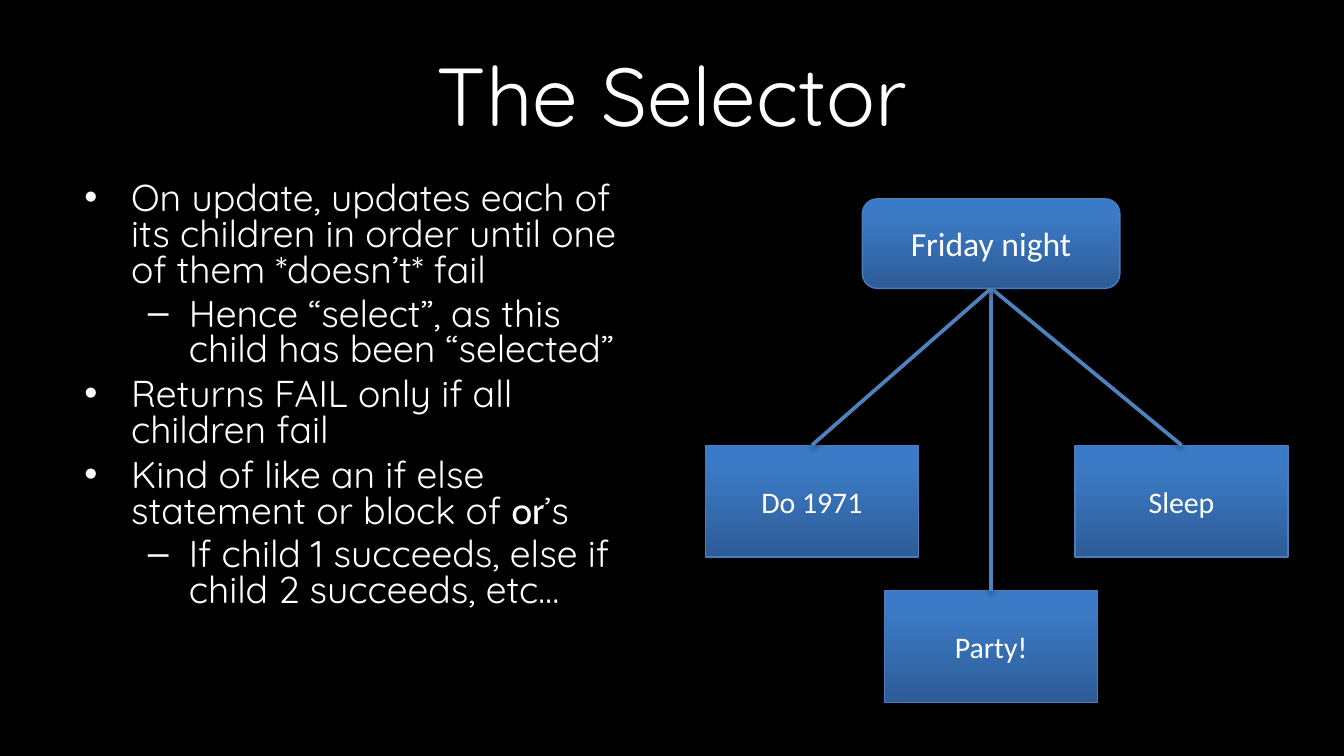
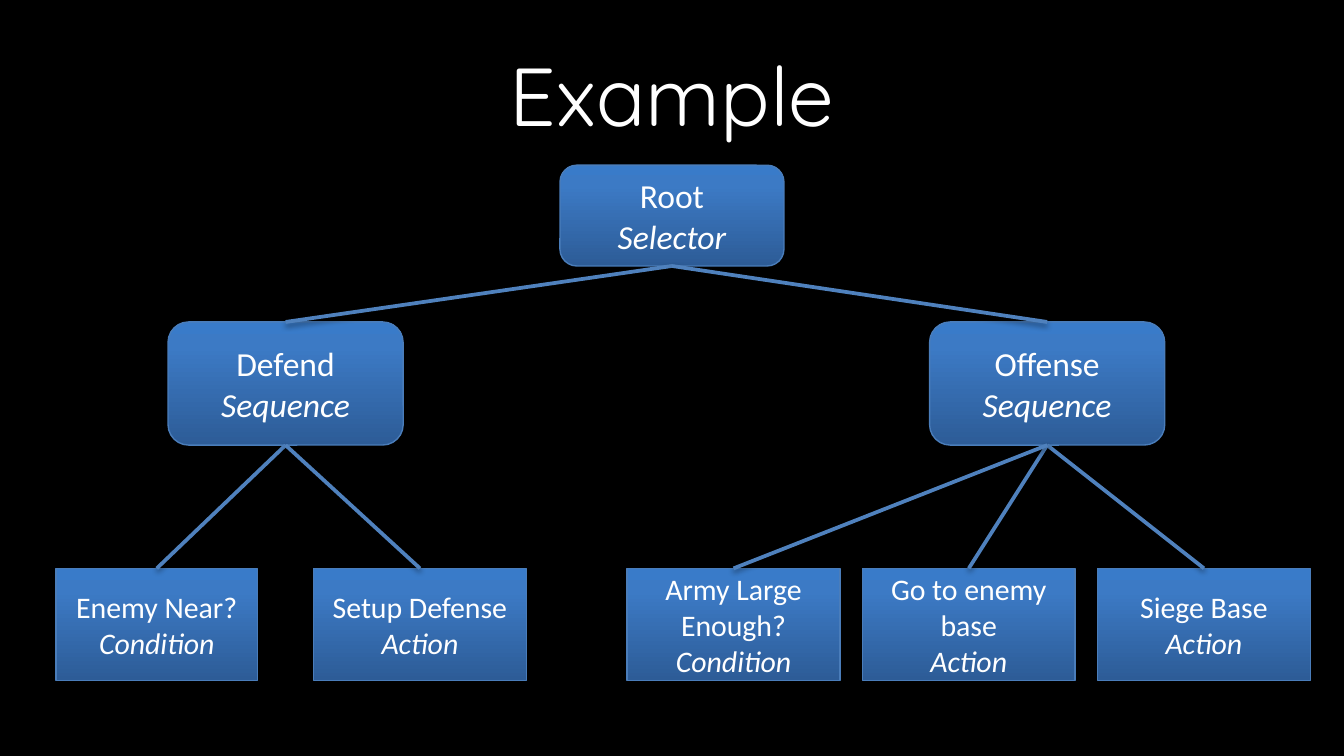
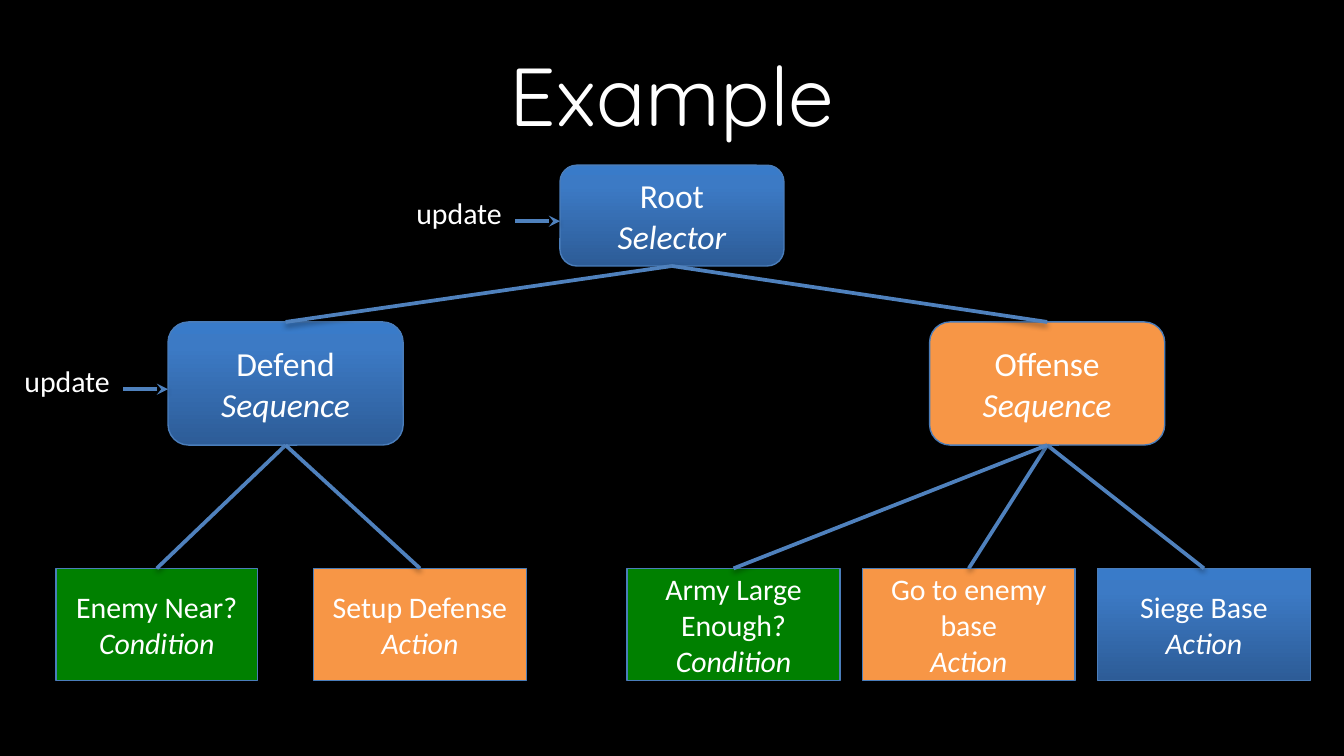
import lxml.etree
import pptx
import pptx.dml.color
import pptx.enum.shapes
import pptx.enum.text
import pptx.oxml.ns
import pptx.util

Pt = pptx.util.Pt
qn = pptx.oxml.ns.qn
SHAPE = pptx.enum.shapes.MSO_SHAPE
ALIGN = pptx.enum.text.PP_ALIGN
MIDDLE = pptx.enum.text.MSO_ANCHOR.MIDDLE

COLORS = {
    "background": "000000",
    "text": "FFFFFF",
    "outline": "4A7DBA",
    "link": "4F81BD",
    "succeeded": "008000",
    "running": "F79646",
    "shadow": "000000",
}
NODE_GRADIENT = [(0, "2D5C97"), (80, "3C7AC5"), (100, "397BC9")]
HEADING_FONT, NODE_FONT, EMPHASIS_FONT = "Quicksand", "Calibri", "Cabin"

# Per outline level: bullet, left margin, indent, space before
BULLET_LEVELS = [("•", 27, -25, 4.8), ("–", 58, -22, 4.1)]

SELECTOR_POINTS = [
    (0, [("On update, updates each of its children in order until one of them "
          "*doesn’t* fail", HEADING_FONT)]),
    (1, [("Hence “select”, as this child has been “selected”", HEADING_FONT)]),
    (0, [("Returns FAIL only if all children fail", HEADING_FONT)]),
    (0, [("Kind of like an if else statement or block of ", HEADING_FONT),
         ("or", EMPHASIS_FONT), ("’s", HEADING_FONT)]),
    (1, [("If child 1 succeeds, else if child 2 succeeds, etc…", HEADING_FONT)]),
]

# Node: label, kind in italics, left, top, width, height
LEAF_W, LEAF_H = 114, 60
FRIDAY_NODES = {
    "friday": ("Friday night", "", 462, 106.5, 138, 48),
    "do": ("Do 1971", "", 378, 238.5, LEAF_W, LEAF_H),
    "party": ("Party!", "", 474, 316.5, LEAF_W, LEAF_H),
    "sleep": ("Sleep", "", 576, 238.5, LEAF_W, LEAF_H),
}
FRIDAY_CHILDREN = {"friday": ["sleep", "party", "do"]}

BRANCH_TOP, LEAF_TOP = 172.5, 304.5
OFFENSE_LEFT, OFFENSE_PITCH = 336, 126
OFFENSE_LEAVES = [
    ("army", "Army Large Enough?", "Condition"),
    ("go", "Go to enemy base", "Action"),
    ("siege", "Siege Base", "Action"),
]
BATTLE_NODES = {
    "root": ("Root", "Selector", 300, 88.5, 120, 54),
    "defend": ("Defend", "Sequence", 90, BRANCH_TOP, 126, 66),
    "offense": ("Offense", "Sequence", 498, BRANCH_TOP, 126, 66),
    "near": ("Enemy Near?", "Condition", 30, LEAF_TOP, 108, LEAF_H),
    "setup": ("Setup Defense", "Action", 168, LEAF_TOP, LEAF_W, LEAF_H),
}
for column, (key, label, kind) in enumerate(OFFENSE_LEAVES):
    BATTLE_NODES[key] = (label, kind, OFFENSE_LEFT + column * OFFENSE_PITCH,
                         LEAF_TOP, LEAF_W, LEAF_H)
BATTLE_CHILDREN = {
    "root": ["defend", "offense"],
    "defend": ["near", "setup"],
    "offense": ["siege", "go", "army"],
}
BATTLE_STATES = {
    "offense": "running", "near": "succeeded", "setup": "running",
    "army": "succeeded", "go": "running",
}
UPDATED_NODES = ["root", "defend"]


def rgb(name):
    return pptx.dml.color.RGBColor.from_string(COLORS[name])


def add_xml(parent, tag, **attributes):
    return lxml.etree.SubElement(parent, qn(tag), attributes)


def format_runs(paragraph, font_name, size, italic=None):
    for run in paragraph.runs:
        run.font.name = font_name
        run.font.size = Pt(size)
        run.font.italic = italic
        run.font.color.rgb = rgb("text")


def add_shadow(properties, distance, opacity):
    effects = properties.find(qn("a:effectLst"))
    if effects is None:
        effects = add_xml(properties, "a:effectLst")
    shadow = add_xml(effects, "a:outerShdw", blurRad=str(Pt(3.1)), dist=str(Pt(distance)),
                     dir="5400000", rotWithShape="0")
    color = add_xml(shadow, "a:srgbClr", val=COLORS["shadow"])
    add_xml(color, "a:alpha", val=str(opacity * 1000))


def place(shape, left, top, width, height):
    shape.left, shape.top, shape.width, shape.height = map(Pt, (left, top, width, height))


def add_slide(deck, layout_index, heading):
    slide = deck.slides.add_slide(deck.slide_layouts[layout_index])
    title = slide.shapes.title
    place(title, 36, 16.5, 648, 67.5)
    title.text_frame.text = heading
    title.text_frame.vertical_anchor = MIDDLE
    title.text_frame.auto_size = pptx.enum.text.MSO_AUTO_SIZE.NONE
    paragraph = title.text_frame.paragraphs[0]
    paragraph.alignment = ALIGN.CENTER
    format_runs(paragraph, HEADING_FONT, 44)
    return slide


def fill_points(body, points):
    place(body, 36, 94.5, 318, 267)
    frame = body.text_frame
    frame.auto_size = pptx.enum.text.MSO_AUTO_SIZE.NONE
    for index, (level, parts) in enumerate(points):
        paragraph = frame.paragraphs[0] if index == 0 else frame.add_paragraph()
        bullet, margin, indent, space = BULLET_LEVELS[level]
        paragraph.level = level
        paragraph.line_spacing = 0.8
        paragraph.space_before = Pt(space if index else 0)
        for text, font_name in parts:
            run = paragraph.add_run()
            run.text = text
        format_runs(paragraph, HEADING_FONT, 20)
        for run, (text, font_name) in zip(paragraph.runs, parts):
            run.font.name = font_name
        properties = paragraph._p.get_or_add_pPr()
        properties.set("marL", str(Pt(margin)))
        properties.set("indent", str(Pt(indent)))
        add_xml(add_xml(properties, "a:buClr"), "a:srgbClr", val=COLORS["text"])
        add_xml(properties, "a:buFont", typeface="Arial")
        add_xml(properties, "a:buChar", char=bullet)


def fill_gradient(shape):
    shape.fill.gradient()
    shape.fill.gradient_angle = 90
    stops = shape._element.spPr.find(".//" + qn("a:gsLst"))
    stops.clear()
    for position, color in NODE_GRADIENT:
        stop = add_xml(stops, "a:gs", pos=str(position * 1000))
        add_xml(stop, "a:srgbClr", val=color)


def add_node(slide, node, is_parent, state):
    label, kind, left, top, width, height = node
    outline = SHAPE.ROUNDED_RECTANGLE if is_parent else SHAPE.RECTANGLE
    box = slide.shapes.add_shape(outline, *map(Pt, (left, top, width, height)))
    if state:
        box.fill.solid()
        box.fill.fore_color.rgb = rgb(state)
    else:
        fill_gradient(box)
    box.line.color.rgb = rgb("outline")
    box.line.width = Pt(0.75)
    box.shadow.inherit = False
    add_shadow(box._element.spPr, 1.8, 35)
    frame = box.text_frame
    frame.word_wrap = True
    frame.vertical_anchor = MIDDLE
    frame.text = f"{label}\n{kind}" if kind else label
    for index, paragraph in enumerate(frame.paragraphs):
        paragraph.alignment = ALIGN.CENTER
        format_runs(paragraph, NODE_FONT, 18 if is_parent else 16, italic=index == 1)
    return box


def add_link(slide, start=(0, 0), end=(0, 0)):
    link = slide.shapes.add_connector(pptx.enum.shapes.MSO_CONNECTOR.STRAIGHT,
                                      *map(Pt, (*start, *end)))
    link.line.color.rgb = rgb("link")
    link.line.width = Pt(2)
    add_shadow(link._element.spPr, 1.6, 38)
    return link


def add_tree(slide, nodes, children, states):
    boxes = {key: add_node(slide, node, key in children, states.get(key))
             for key, node in nodes.items()}
    for parent, keys in children.items():
        for child in keys:
            link = add_link(slide)
            link.begin_connect(boxes[parent], 2)
            link.end_connect(boxes[child], 0)


def add_update(slide, node):
    """Point an "update" arrow at the left side of a node."""
    left, top, width, height = node[2:]
    arrow_y = top + height / 2 + 3
    note = slide.shapes.add_textbox(*map(Pt, (left - 84, arrow_y - 18, 66, 27)))
    note.text_frame.word_wrap = True
    note.text_frame.text = "update"
    format_runs(note.text_frame.paragraphs[0], NODE_FONT, 16)
    arrow = add_link(slide, (left - 24, arrow_y), (left, arrow_y))
    add_xml(arrow.line._get_or_add_ln(), "a:tailEnd", type="stealth")


def main():
    deck = pptx.Presentation()
    deck.slide_width, deck.slide_height = Pt(720), Pt(405)
    background = deck.slide_master.background.fill
    background.solid()
    background.fore_color.rgb = rgb("background")

    selector = add_slide(deck, 1, "The Selector")
    fill_points(selector.placeholders[1], SELECTOR_POINTS)
    add_tree(selector, FRIDAY_NODES, FRIDAY_CHILDREN, {})

    for states, updated in [({}, []), (BATTLE_STATES, UPDATED_NODES)]:
        example = add_slide(deck, 5, "Example")
        add_tree(example, BATTLE_NODES, BATTLE_CHILDREN, states)
        for key in updated:
            add_update(example, BATTLE_NODES[key])

    deck.save("out.pptx")


if __name__ == "__main__":
    main()
